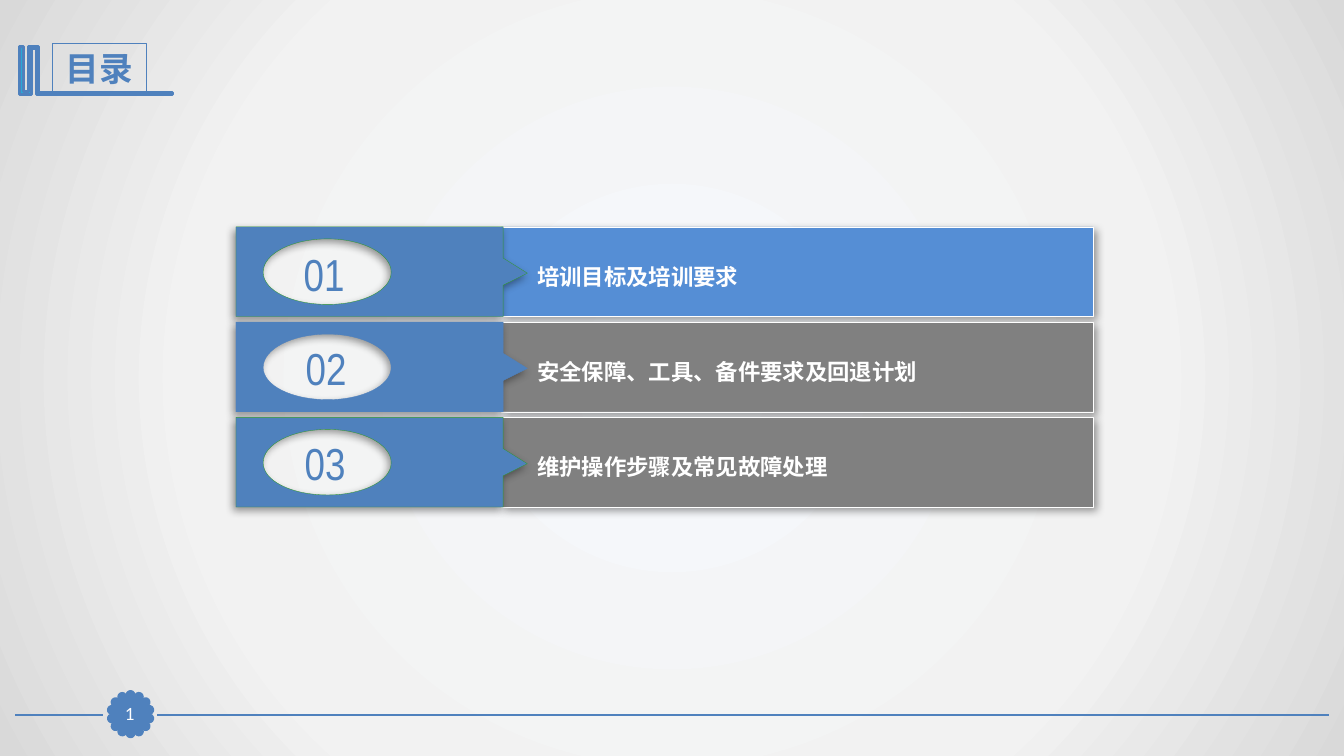
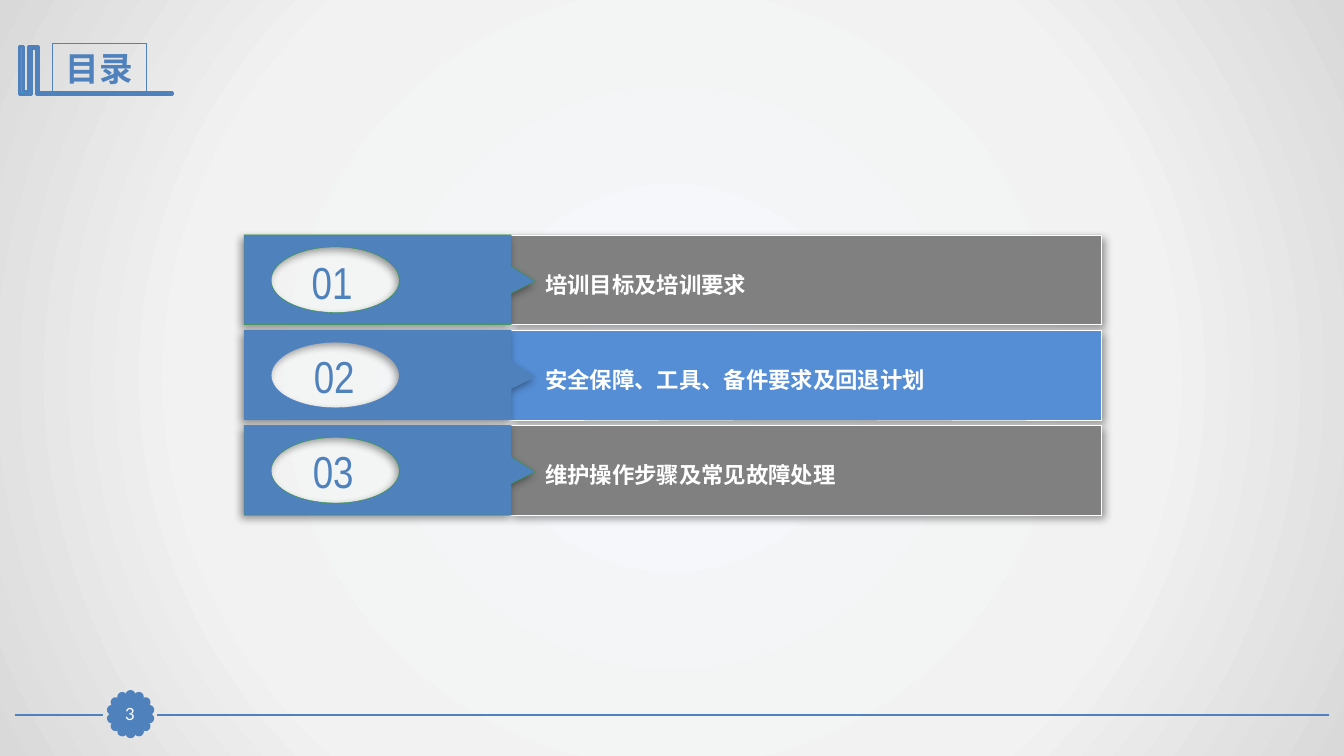
from math import cos, degrees, pi, sin

from lxml.etree import SubElement
from pptx import Presentation
from pptx.dml.color import RGBColor
from pptx.enum.shapes import MSO_CONNECTOR, MSO_SHAPE
from pptx.enum.text import MSO_ANCHOR, PP_ALIGN
from pptx.oxml import parse_xml
from pptx.oxml.ns import nsdecls, qn
from pptx.util import Inches, Pt

BLUE, BRIGHT_BLUE, GRAY = "4F81BD", "558ED5", "808080"
CYAN, GREEN, WHITE = "28A9D6", "339933", "FFFFFF"
NUMBER_FONT, TEXT_FONT = "Arial Narrow", "Lato"
rgb = RGBColor.from_string


def paint(shape, fill, line, width, shadow_angle=None):
    """Set fill and line, and replace the theme shadow by none or a soft one."""
    if fill:
        shape.fill.solid()
        shape.fill.fore_color.rgb = rgb(fill)
    shape.line.color.rgb = rgb(line)
    shape.line.width = Pt(width)
    effects = SubElement(shape.element.spPr, qn("a:effectLst"))
    if shadow_angle is not None:
        effects.append(parse_xml(
            f'<a:outerShdw {nsdecls("a")} blurRad="{Pt(6)}" dist="{Pt(3)}" '
            f'dir="{shadow_angle * 60000}" algn="ctr" rotWithShape="0">'
            '<a:srgbClr val="000000"><a:alpha val="40000"/></a:srgbClr></a:outerShdw>'))


def write(shape, text, size, font, color, bold=False, align=PP_ALIGN.CENTER,
          anchor=MSO_ANCHOR.MIDDLE):
    frame = shape.text_frame
    frame.word_wrap = True
    frame.vertical_anchor = anchor
    paragraph = frame.paragraphs[0]
    paragraph.text = text
    paragraph.alignment = align
    paragraph.font.size = Pt(size)
    paragraph.font.name = font
    paragraph.font.bold = bold
    paragraph.font.color.rgb = rgb(color)


presentation = Presentation()
presentation.slide_width, presentation.slide_height = Inches(13.33), Inches(7.5)
layout = presentation.slide_layouts[6]
for placeholder in list(layout.placeholders):
    layout.shapes.element.remove(placeholder.element)

# Background: a radial gradient on the master
background = presentation.slide_master.background
background.fill.gradient()
gradient = presentation.slide_master.element.find(".//" + qn("a:gradFill"))
stops = "".join(f'<a:gs pos="{position * 1000}"><a:srgbClr val="{color}"/></a:gs>'
                for position, color in [(0, "F6F9FC"), (63, "F2F2F2"), (100, "D9D9D9")])
gradient.getparent().replace(gradient, parse_xml(
    f'<a:gradFill {nsdecls("a")} rotWithShape="1"><a:gsLst>{stops}</a:gsLst>'
    '<a:path path="circle"><a:fillToRect l="50000" t="50000" r="50000" b="50000"/>'
    '</a:path></a:gradFill>'))

# Shared parts are drawn on the first slide, then moved to the layout
first_slide = presentation.slides.add_slide(layout)
shapes = first_slide.shapes

# Footer line with a scalloped badge
for start, end in [(13.18, 1.56), (1.02, 0.15)]:
    footer_line = shapes.add_connector(
        MSO_CONNECTOR.STRAIGHT, Inches(start), Inches(7.09), Inches(end), Inches(7.09))
    paint(footer_line, None, BLUE, 1.25)

SCALLOPS, SCALLOP_SIZE = 14, 0.07
scallop_ring = shapes.add_group_shape()
for index in range(SCALLOPS):
    angle = 2 * pi * index / SCALLOPS
    left = 1.26 + 0.19 * sin(angle)
    top = 7.05 - 0.19 * cos(angle)
    scallop = scallop_ring.shapes.add_shape(
        MSO_SHAPE.OVAL, Inches(left), Inches(top), Inches(SCALLOP_SIZE), Inches(SCALLOP_SIZE))
    scallop.rotation = degrees(angle)
    paint(scallop, BLUE, BLUE, 2)

# Title: book outline and framed heading
book_points = [
    (0.37, 0.46), (0.38, 0.46), (0.38, 0.92), (1.71, 0.92), (1.71, 0.94), (0.36, 0.94),
    (0.36, 0.48), (0.31, 0.48), (0.31, 0.94), (0.19, 0.94), (0.19, 0.46), (0.23, 0.46),
    (0.23, 0.91), (0.28, 0.91), (0.28, 0.46)]
book_points = [(Inches(x), Inches(y)) for x, y in book_points]
builder = shapes.build_freeform(*book_points[0])
builder.add_line_segments(book_points[1:])
paint(builder.convert_to_shape(), CYAN, BLUE, 2)

title = shapes.add_shape(MSO_SHAPE.RECTANGLE, Inches(0.52), Inches(0.43),
                         Inches(0.93), Inches(0.5))
title.fill.background()
paint(title, None, BLUE, 0.75)
write(title, "目录", 24, NUMBER_FONT, BLUE, bold=True)

for shape in list(shapes):
    layout.shapes.element.append(shape.element)

# Agenda rows: topic, tab edge, and left, top and width of the number
ROWS = [
    ("培训目标及培训要求", GREEN, 0.41, 0.14, 0.93),
    ("安全保障、工具、备件要求及回退计划", BLUE, 0.39, 0.13, 1.01),
    ("维护操作步骤及常见故障处理", GREEN, 0.38, 0.13, 1.01)]
ROW_HEIGHT, ROW_PITCH = 0.89, 1.89 / 2
TAB_OUTLINE = [(0, 0), (2.65, 0), (2.65, 0.31), (2.89, 0.46), (2.65, 0.58),
               (2.65, ROW_HEIGHT), (0, ROW_HEIGHT)]

# The oval hole of a tab: a start point and four curves
HOLE_START = (0.91, 0.12)
HOLE_CURVES = [[(0.55, 0.12), (0.27, 0.27), (0.27, 0.45)],
               [(0.27, 0.63), (0.55, 0.77), (0.91, 0.77)],
               [(1.26, 0.77), (1.54, 0.63), (1.54, 0.45)],
               [(1.54, 0.27), (1.26, 0.12), HOLE_START]]
second_slide = presentation.slides.add_slide(layout)

# Each slide: page number, active row, offset of the rows
for slide, page, active, offset in [(first_slide, "1", 0, 0), (second_slide, "3", 1, 0.08)]:
    badge = slide.shapes.add_shape(MSO_SHAPE.RECTANGLE, Inches(1.13), Inches(6.93),
                                   Inches(0.32), Inches(0.31))
    paint(badge, BLUE, BLUE, 0.75)
    write(badge, page, 12, TEXT_FONT, WHITE)
    frame = badge.text_frame
    frame.margin_left = frame.margin_right = frame.margin_top = frame.margin_bottom = 0

    for index, (topic, edge, number_left, number_top, number_width) in enumerate(ROWS):
        left = 2.34 + offset
        top = 2.25 + offset + index * ROW_PITCH
        row = slide.shapes.add_group_shape().shapes

        # Topic bar
        bar = row.add_shape(MSO_SHAPE.RECTANGLE, Inches(left + 2.63), Inches(top),
                            Inches(5.87), Inches(ROW_HEIGHT))
        paint(bar, BRIGHT_BLUE if index == active else GRAY, WHITE, 0.25, shadow_angle=45)

        # Number tab: arrow outline with the oval hole
        outline = [(Inches(left + x), Inches(top + y)) for x, y in TAB_OUTLINE]
        builder = row.build_freeform(*outline[0])
        builder.add_line_segments(outline[1:])
        tab = builder.convert_to_shape()
        outline_path = tab.element.find(".//" + qn("a:path"))
        for tag, points in [("a:moveTo", [HOLE_START]),
                            *[("a:cubicBezTo", curve) for curve in HOLE_CURVES],
                            ("a:close", [])]:
            segment = SubElement(outline_path, qn(tag))
            for x, y in points:
                SubElement(segment, qn("a:pt"), x=str(Inches(x)), y=str(Inches(y)))
        paint(tab, BLUE, edge, 0.25, shadow_angle=135)

        # Number and topic
        number = row.add_textbox(Inches(left + number_left), Inches(top + number_top),
                                 Inches(number_width), Inches(0.64))
        write(number, f"{index + 1:02}", 32, NUMBER_FONT, BLUE)
        label = row.add_textbox(Inches(left + 2.89), Inches(top + 0.31),
                                Inches(5.61), Inches(0.37))
        write(label, topic, 16, TEXT_FONT, WHITE, bold=True, align=PP_ALIGN.LEFT,
              anchor=MSO_ANCHOR.TOP)

presentation.save("out.pptx")
